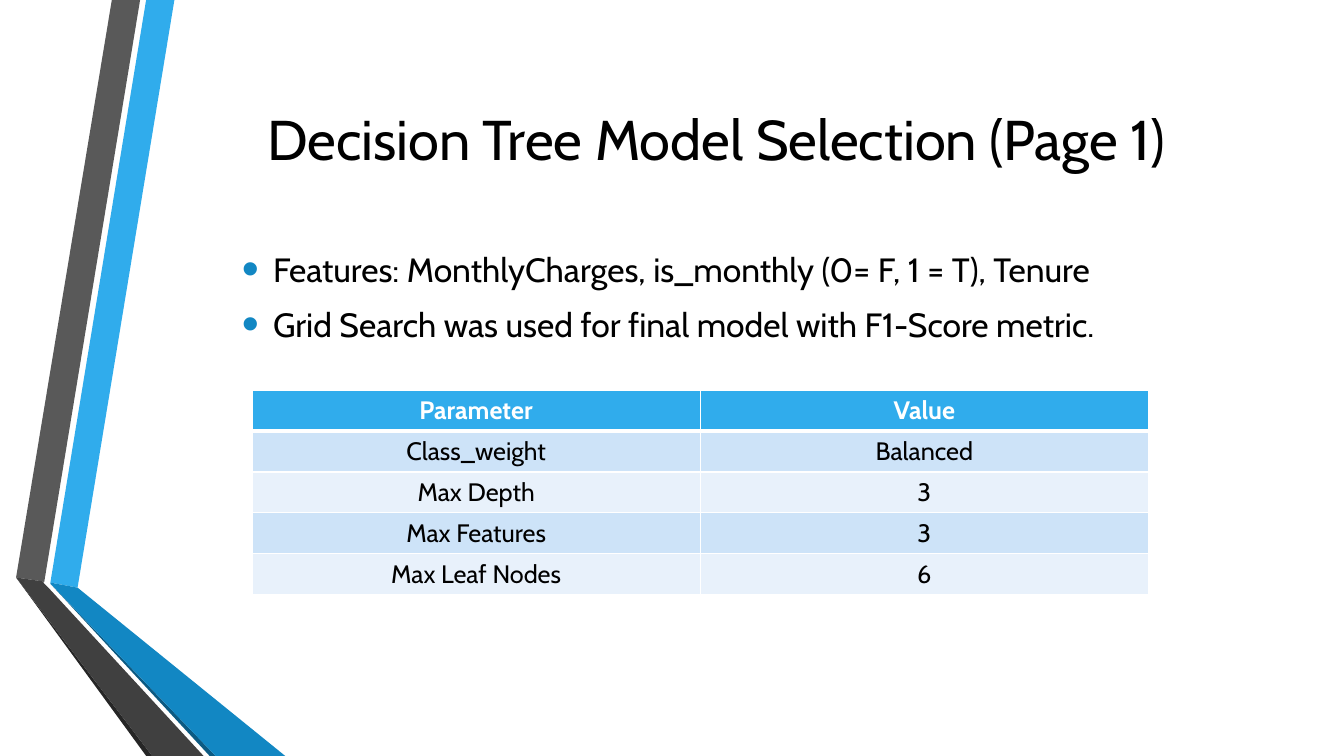
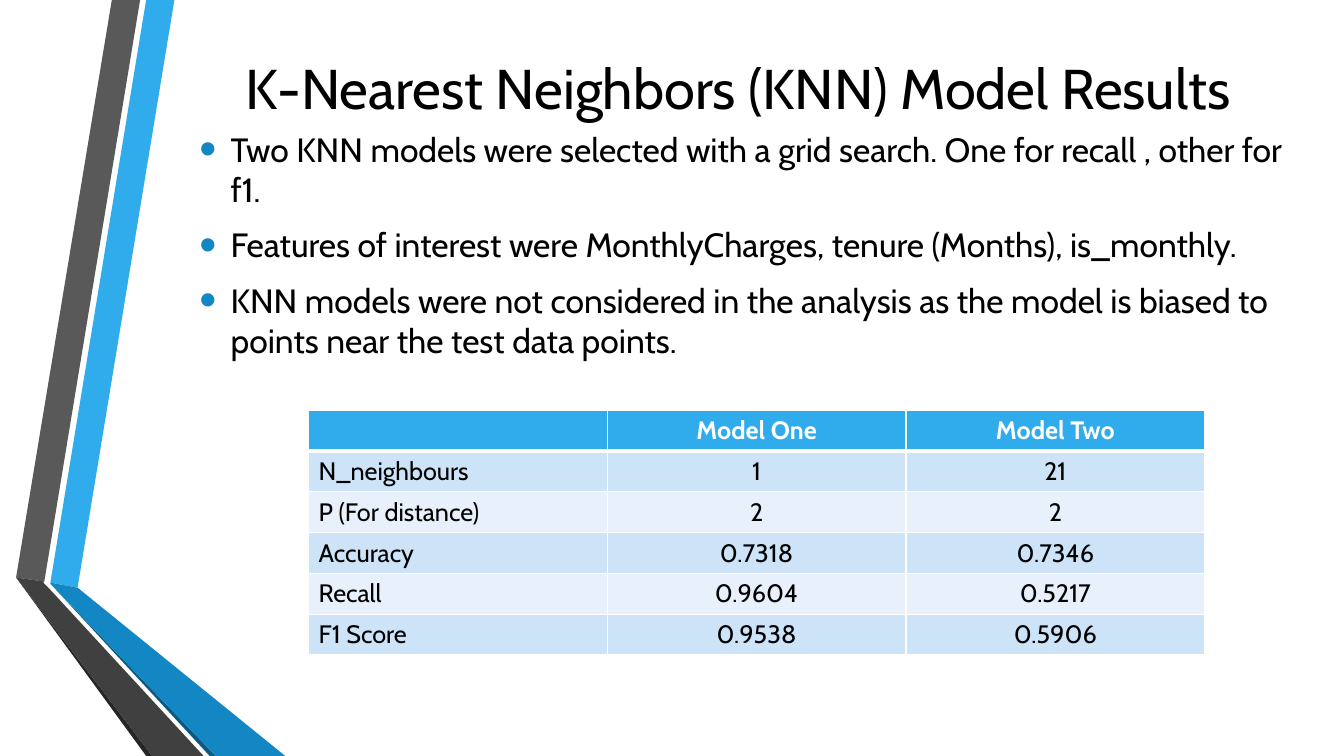
from lxml import etree
from pptx import Presentation, util as u
from pptx.dml.color import RGBColor
from pptx.enum import text
from pptx.oxml import ns

FONT = "Cabin"
HUES = {
    "ink": "000000", "white": "FFFFFF", "sky": "30ACEC", "blue": "1287C3",
    "navy": "0C5A82", "gray": "595959", "dark": "404040", "coal": "262626",
    "odd": "CDE3F8", "even": "E8F1FB",
}
BANDS = [
    ("sky", [(0.5, 5.78), (0.77, 5.83), (1.73, 0), (1.45, 0)]),
    ("gray", [(1.39, 0), (1.11, 0), (0.16, 5.73), (0.44, 5.77)]),
    ("coal", [(0.16, 5.73), (1.45, 7.5), (1.51, 7.5)]),
    ("navy", [(0.5, 5.79), (2.08, 7.5), (2.14, 7.5)]),
    ("blue", [(0.5, 5.79), (2.14, 7.5), (2.83, 7.5), (0.77, 5.83), (0.5, 5.78)]),
    ("dark", [(2.02, 7.5), (0.48, 5.83), (0.43, 5.78), (0.44, 5.77),
              (0.16, 5.73), (1.51, 7.5)]),
]


def hue(name):
    return RGBColor.from_string(HUES[name])


def style(para, size, color="ink", bold=False):
    font = para.font
    font.name, font.size, font.bold = FONT, u.Pt(size), bold
    font.color.rgb = hue(color)


def node(parent, tag, **attrs):
    return etree.SubElement(parent, ns.qn(tag), attrs)


def add_bands(slide):
    for color, points in BANDS:
        spots = [(round(x * 100), round(y * 100)) for x, y in points]
        pen = slide.shapes.build_freeform(*spots[0], scale=u.Inches(0.01))
        pen.add_line_segments(spots[1:], close=True)
        band = pen.convert_to_shape()
        band.shadow.inherit = False
        band.fill.solid()
        band.fill.fore_color.rgb = hue(color)
        band.line.fill.background()


def add_box(slide, area):
    frame = slide.shapes.add_textbox(*map(u.Inches, area)).text_frame
    frame.word_wrap = True
    frame.vertical_anchor = text.MSO_ANCHOR.MIDDLE
    return frame


def add_title(slide, area, words):
    para = add_box(slide, area).paragraphs[0]
    para.text = words
    para.alignment = text.PP_ALIGN.CENTER
    style(para, 40)


def add_list(slide, area, items):
    frame = add_box(slide, area)
    for i, item in enumerate(items):
        para = frame.add_paragraph() if i else frame.paragraphs[0]
        para.text = item
        para.space_before, para.space_after = u.Pt(4.8), u.Pt(6)
        props = para._p.get_or_add_pPr()
        props.set("marL", str(u.Inches(0.31)))
        props.set("indent", str(-u.Inches(0.31)))
        node(node(props, "a:buClr"), "a:srgbClr", val=HUES["blue"])
        node(props, "a:buSzPct", val="145000")
        node(props, "a:buFont", typeface="Arial")
        node(props, "a:buChar", char="•")
        style(para, 24)


def edge(cell, head):
    props = cell._tc.get_or_add_tcPr()
    for side in "LRTB":
        width = u.Pt(3 if head and side == "B" else 1)
        line = node(props, f"a:ln{side}", w=str(width))
        node(node(line, "a:solidFill"), "a:srgbClr", val=HUES["white"])


def add_grid(slide, area, rows, left=False):
    grid = slide.shapes.add_table(
        len(rows), len(rows[0]), *map(u.Inches, area)).table
    for i, row in enumerate(rows):
        head = i == 0
        tint = "sky" if head else "odd" if i % 2 else "even"
        for j, words in enumerate(row):
            cell = grid.cell(i, j)
            edge(cell, head)
            cell.fill.solid()
            cell.fill.fore_color.rgb = hue(tint)
            para = cell.text_frame.paragraphs[0]
            para.text = words
            flush = left and j == 0
            para.alignment = text.PP_ALIGN.LEFT if flush else text.PP_ALIGN.CENTER
            style(para, 18, "white" if head else "ink", head)


def add_slide(deck):
    slide = deck.slides.add_slide(deck.slide_layouts[6])
    add_bands(slide)
    return slide


def main():
    deck = Presentation()
    deck.slide_width, deck.slide_height = u.Inches(13.33), u.Inches(7.5)

    tree = add_slide(deck)
    add_title(tree, (1.62, 0.75, 10.96, 1.24),
              "Decision Tree Model Selection (Page 1)")
    add_list(tree, (2.3, 2.38, 9.86, 1.12), [
        "Features: MonthlyCharges, is_monthly (0= F, 1 = T), Tenure",
        "Grid Search was used for final model with F1-Score metric.",
    ])
    add_grid(tree, (2.5, 3.87, 8.89, 2.03), [
        ("Parameter", "Value"),
        ("Class_weight", "Balanced"),
        ("Max Depth", "3"),
        ("Max Features", "3"),
        ("Max Leaf Nodes", "6"),
    ])

    near = add_slide(deck)
    add_title(near, (1.99, 0.35, 10.66, 1.02),
              "K-Nearest Neighbors (KNN) Model Results")
    add_list(near, (1.88, 1.25, 11.24, 2.35), [
        "Two KNN models were selected with a grid search. "
        "One for recall , other for f1.",
        "Features of interest were MonthlyCharges, tenure (Months), is_monthly.",
        "KNN models were not considered in the analysis as the model is "
        "biased to points near the test data points.",
    ])
    add_grid(near, (3.06, 4.07, 8.89, 2.43), [
        ("", "Model One", "Model Two"),
        ("N_neighbours", "1", "21"),
        ("P (For distance)", "2", "2"),
        ("Accuracy", "0.7318", "0.7346"),
        ("Recall", "0.9604", "0.5217"),
        ("F1 Score", "0.9538", "0.5906"),
    ], left=True)

    deck.save("out.pptx")


if __name__ == "__main__":
    main()
